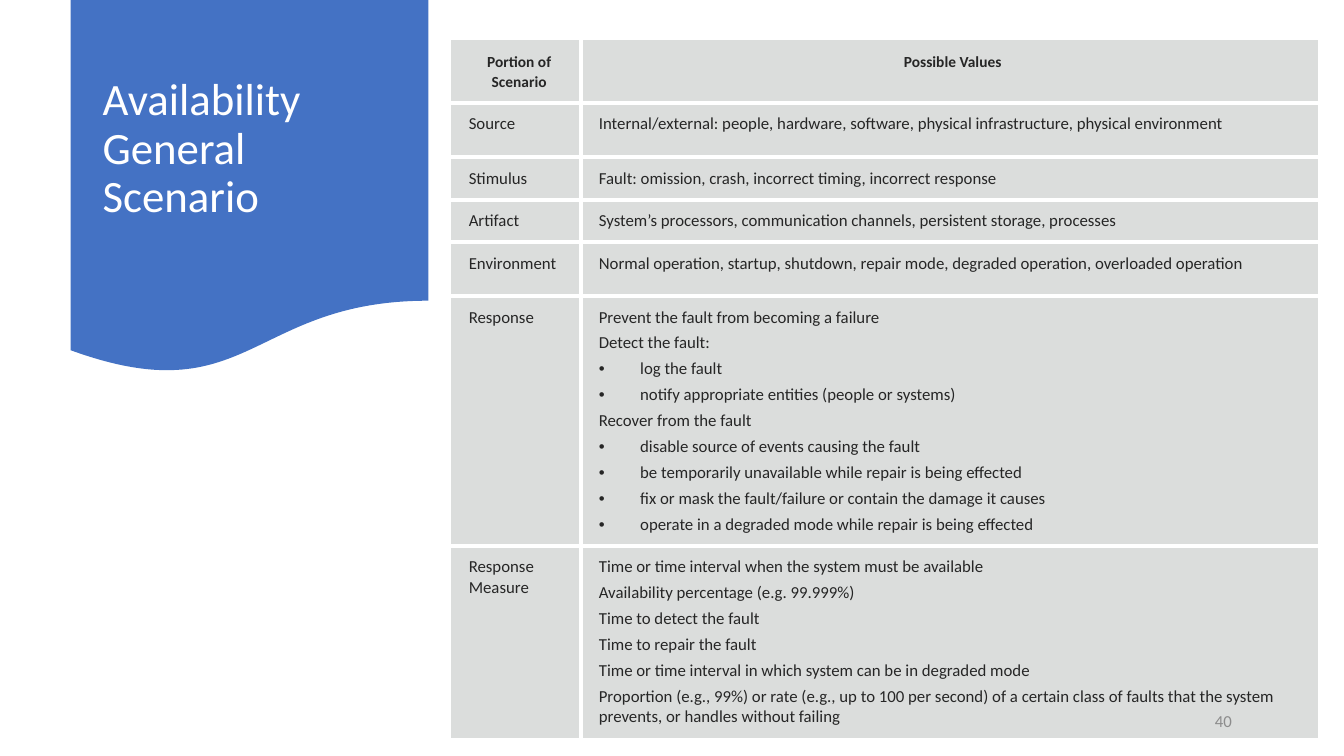
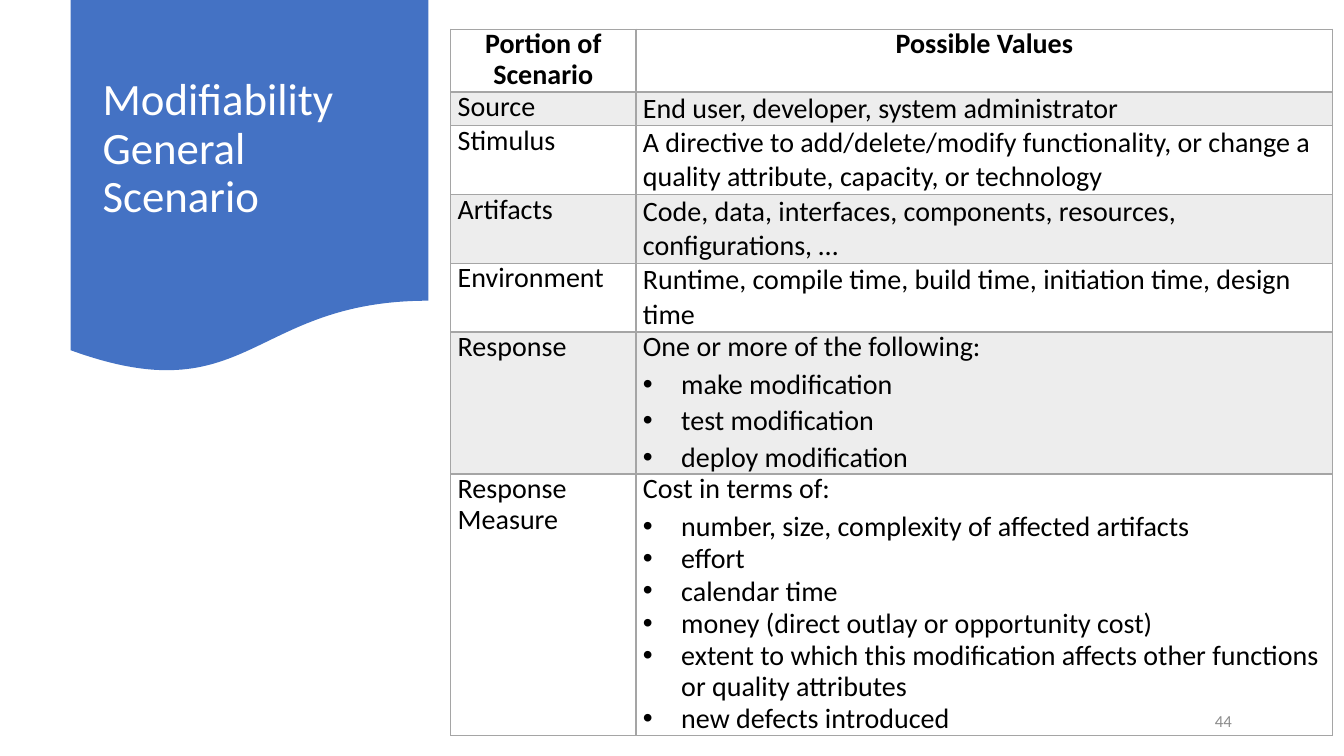
from dataclasses import dataclass

from lxml.etree import SubElement
from pptx import Presentation
from pptx.dml.color import RGBColor
from pptx.enum.shapes import MSO_SHAPE
from pptx.enum.text import MSO_ANCHOR, PP_ALIGN
from pptx.oxml.ns import qn
from pptx.util import Inches, Pt

WIDE, HIGH = Inches(13.33), Inches(7.5)
MARK = "• "


@dataclass(frozen=True)
class Theme:
    font: str = "Calibri"
    blue: str = "4472C4"
    white: str = "FFFFFF"
    pale: str = "8C8C8C"
    title: int = 32
    page: int = 12


@dataclass(frozen=True)
class Look:
    """Style of one table; lengths are percent of the slide, insets are inches."""
    top: float
    width: float
    share: float    # first column's part of the table width
    inset: tuple    # left, top, right, bottom
    head: int
    body: int
    ink: str
    fills: tuple    # header, odd rows, even rows
    line: str
    thick: float
    rule: float     # line under the header
    frame: bool     # draw the outer border
    pitch: object   # line spacing
    loose: object   # line spacing of one-paragraph values
    lead: float     # gap after a plain paragraph
    indent: float


@dataclass(frozen=True)
class Row:
    high: float
    label: str
    lines: tuple
    gap: float = 4  # gap after a bullet


THEME = Theme()
LEFT = 33.53
TILED = Look(top=5.33, width=64.52, share=0.15, inset=(0.18, 0.11, 0.11, 0.11),
             head=11, body=12, ink="262626", fills=("DBDDDC",) * 3,
             line="FFFFFF", thick=3, rule=3, frame=False,
             pitch=Pt(14.5), loose=Pt(14.5), lead=4, indent=0.41)
LINED = Look(top=3.87, width=65.64, share=0.21, inset=(0.07, 0, 0.07, 0),
             head=20, body=20, ink="000000", fills=(None, "EDEDED", None),
             line="A5A5A5", thick=1, rule=2, frame=True,
             pitch=0.9, loose=1.0, lead=5, indent=0.38)

AVAILABLE = (
    Row(8.2, "Portion of\vScenario", ("Possible Values",)),
    Row(7.15, "Source", (
        "Internal/external: people, hardware, software, physical infrastructure, "
        "physical environment",)),
    Row(5.45, "Stimulus", (
        "Fault: omission, crash, incorrect timing, incorrect response",)),
    Row(5.45, "Artifact", (
        "System’s processors, communication channels, persistent storage, processes",)),
    Row(7.15, "Environment", (
        "Normal operation, startup, shutdown, repair mode, degraded operation, "
        "overloaded operation",)),
    Row(32.9, "Response", (
        "Prevent the fault from becoming a failure",
        "Detect the fault:",
        "• log the fault",
        "• notify appropriate entities (people or systems)",
        "Recover from the fault",
        "• disable source of events causing the fault",
        "• be temporarily unavailable while repair is being effected",
        "• fix or mask the fault/failure or contain the damage it causes",
        "• operate in a degraded mode while repair is being effected")),
    Row(25.4, "Response\vMeasure", (
        "Time or time interval when the system must be available",
        "Availability percentage (e.g. 99.999%)",
        "Time to detect the fault",
        "Time to repair the fault",
        "Time or time interval in which system can be in degraded mode",
        "Proportion (e.g., 99%) or rate (e.g., up to 100 per second) of a certain "
        "class of faults that the system prevents, or handles without failing")),
)

MODIFY = (
    Row(8.3, "Portion of\vScenario", ("Possible Values",)),
    Row(4.4, "Source", ("End user, developer, system administrator",)),
    Row(9.1, "Stimulus", (
        "A directive to add/delete/modify functionality, or change a quality "
        "attribute, capacity, or technology",)),
    Row(9.1, "Artifacts", (
        "Code, data, interfaces, components, resources, configurations, …",)),
    Row(9.1, "Environment", (
        "Runtime, compile time, build time, initiation time, design time",)),
    Row(18.8, "Response", (
        "One or more of the following:",
        "• make modification",
        "• test modification",
        "• deploy modification")),
    Row(34.6, "Response\vMeasure", (
        "Cost in terms of:",
        "• number, size, complexity of affected artifacts",
        "• effort",
        "• calendar time",
        "• money (direct outlay or opportunity cost)",
        "• extent to which this modification affects other functions or quality "
        "attributes",
        "• new defects introduced"), gap=1),
)


def area(x, y, w, h):
    """Turn percent of the slide into lengths."""
    return [int(side * part / 100)
            for side, part in zip((WIDE, HIGH, WIDE, HIGH), (x, y, w, h))]


def color(code):
    return RGBColor.from_string(code)


def style(para, size, ink, bold=False):
    for run in para.runs:
        run.font.name = THEME.font
        run.font.size = Pt(size)
        run.font.bold = bold
        run.font.color.rgb = color(ink)


def banner(slide):
    shape = slide.shapes.add_shape(MSO_SHAPE.FLOWCHART_DOCUMENT,
                                   *area(5.25, 0, 26.63, 49.6))
    shape.shadow.inherit = False
    shape.fill.solid()
    shape.fill.fore_color.rgb = color(THEME.blue)
    shape.line.fill.background()


def label(slide, text, place, size, ink, pitch=1.0):
    frame = slide.shapes.add_textbox(*area(*place)).text_frame
    frame.word_wrap = True
    frame.vertical_anchor = MSO_ANCHOR.MIDDLE
    frame.text = text
    para = frame.paragraphs[0]
    para.line_spacing = pitch
    style(para, size, ink)


def bullet(para, indent):
    props = para._p.get_or_add_pPr()
    props.set("marL", str(Inches(indent)))
    props.set("indent", str(-Inches(indent)))
    SubElement(props, qn("a:buFont"), typeface="Arial")
    SubElement(props, qn("a:buChar"), char=MARK.strip())


def border(cell, side, width, ink):
    line = SubElement(cell._tc.get_or_add_tcPr(), qn("a:ln" + side),
                      w=str(Pt(width)))
    if width:
        fill = SubElement(line, qn("a:solidFill"))
        SubElement(fill, qn("a:srgbClr"), val=ink)
    else:
        SubElement(line, qn("a:noFill"))


def edges(cell, look, row, col, last):
    outer = look.thick if look.frame else 0
    widths = {
        "L": look.thick if col else outer,
        "R": outer if col else look.thick,
        "T": (outer, look.rule)[row] if row < 2 else look.thick,
        "B": look.rule if row == 0 else outer if row == last else look.thick,
    }
    for side, width in widths.items():
        border(cell, side, width, look.line)


def paint(cell, code):
    if code:
        cell.fill.solid()
        cell.fill.fore_color.rgb = color(code)
    else:
        cell.fill.background()


def write(cell, lines, look, gap, head, pitch):
    (cell.margin_left, cell.margin_top,
     cell.margin_right, cell.margin_bottom) = map(Inches, look.inset)
    frame = cell.text_frame
    space = 0
    for index, line in enumerate(lines):
        para = frame.add_paragraph() if index else frame.paragraphs[0]
        para.text = line.removeprefix(MARK)
        marked = line.startswith(MARK)
        if marked:
            bullet(para, look.indent)
        para.alignment = PP_ALIGN.CENTER if head else PP_ALIGN.LEFT
        para.line_spacing = pitch
        para.space_before = Pt(space)
        style(para, look.head if head else look.body, look.ink, head)
        space = gap if marked else look.lead


def grid(slide, rows, look):
    place = area(LEFT, look.top, look.width, sum(row.high for row in rows))
    table = slide.shapes.add_table(len(rows), 2, *place).table
    table.first_row = table.horz_banding = False
    for col, part in zip(table.columns, (look.share, 1 - look.share)):
        col.width = int(place[2] * part)
    for r, row in enumerate(rows):
        table.rows[r].height = int(HIGH * row.high / 100)
        single = r > 0 and len(row.lines) == 1
        pitches = look.pitch, look.loose if single else look.pitch
        for c, lines in enumerate(((row.label,), row.lines)):
            cell = table.cell(r, c)
            write(cell, lines, look, row.gap, r == 0, pitches[c])
            edges(cell, look, r, c, len(rows) - 1)
            paint(cell, look.fills[2 - r % 2 if r else 0])


def scene(deck, title, page, rows, look):
    slide = deck.slides.add_slide(deck.slide_layouts[6])
    banner(slide)
    label(slide, title, (6.9, 2.53, 23.33, 34.53), THEME.title, THEME.white, 0.9)
    grid(slide, rows, look)
    label(slide, page, (89.65, 92.67, 5.1, 5.33), THEME.page, THEME.pale)


def main():
    deck = Presentation()
    deck.slide_width, deck.slide_height = WIDE, HIGH
    scene(deck, "Availability General Scenario", "40", AVAILABLE, TILED)
    scene(deck, "Modifiability General Scenario", "44", MODIFY, LINED)
    deck.save("out.pptx")


if __name__ == "__main__":
    main()
